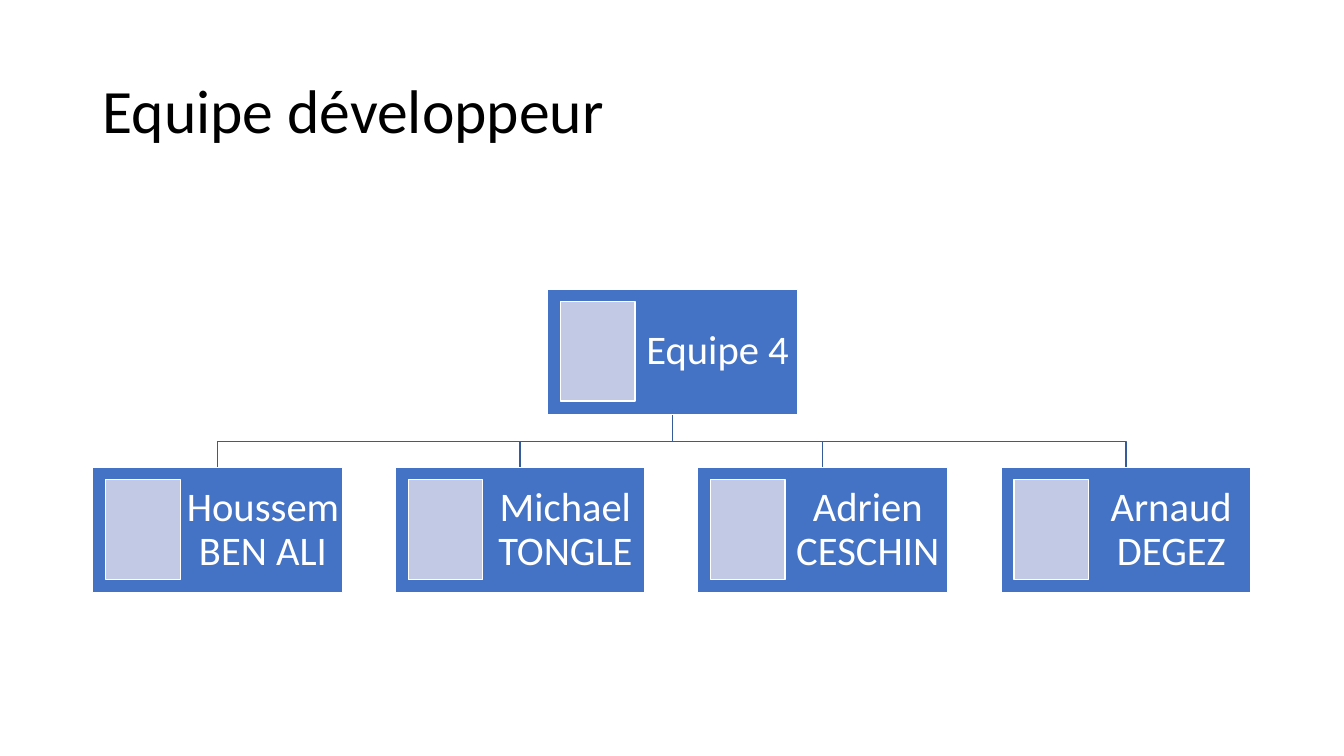
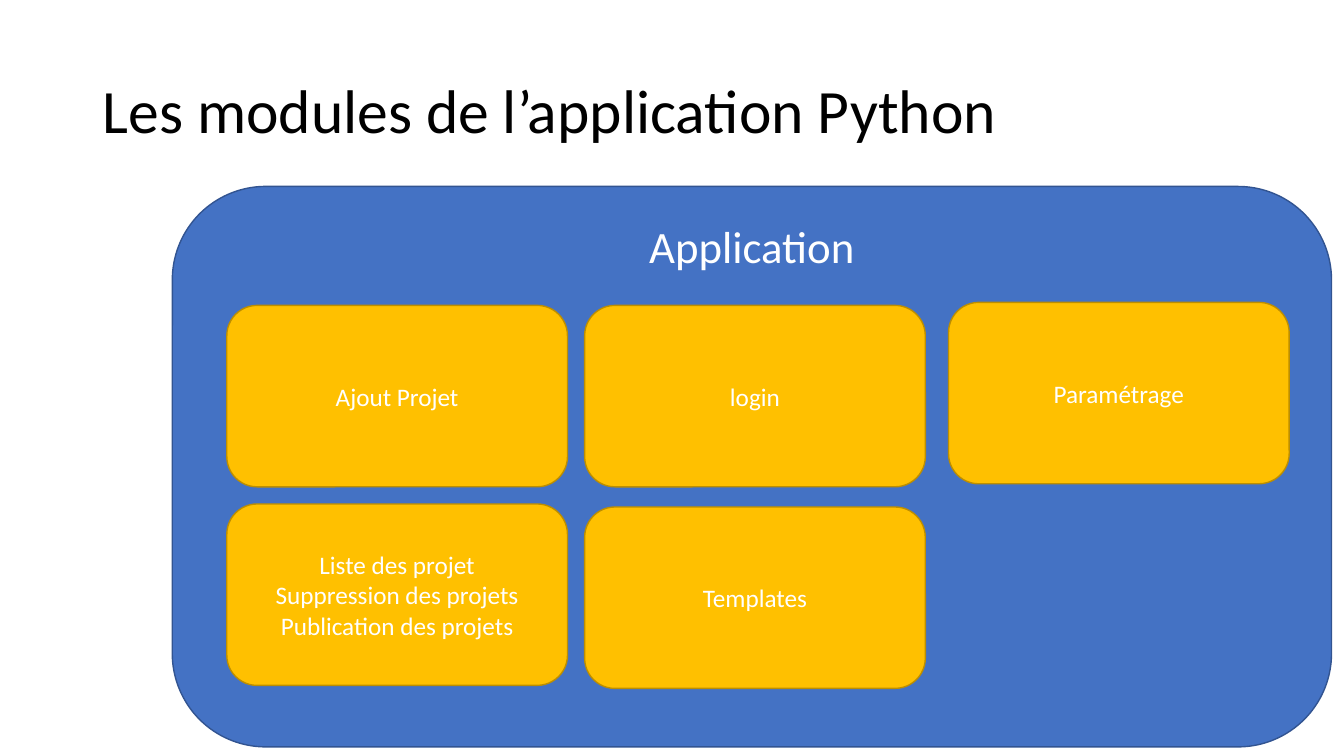
"""Build two slides: the developer team chart and the application modules."""
from pptx import Presentation
from pptx.dml.color import RGBColor
from pptx.enum.shapes import MSO_SHAPE
from pptx.enum.text import MSO_ANCHOR, PP_ALIGN
from pptx.util import Pt

PX = 9144
FONT = "Calibri"
BLUE, PALE, GOLD, WHITE, BLACK = "4472C4", "C1C9E4", "FFC000", "FFFFFF", "000000"
WIRE, NAVY, BROWN = "365B9D", "325491", "BD8E00"
RECT, ROUND = MSO_SHAPE.RECTANGLE, MSO_SHAPE.ROUNDED_RECTANGLE
TOP, MID = MSO_ANCHOR.TOP, MSO_ANCHOR.MIDDLE
LEFT, MIDDLE = PP_ALIGN.LEFT, PP_ALIGN.CENTER


def write(shape, text, size, color=WHITE, align=MIDDLE, anchor=MID, space=1.0):
    """Fill a shape with text: one paragraph per list item, one run per line."""
    frame = shape.text_frame
    frame.word_wrap = True
    frame.vertical_anchor = anchor
    for i, item in enumerate(text):
        para = frame.add_paragraph() if i else frame.paragraphs[0]
        para.alignment = align
        para.line_spacing = space
        for j, part in enumerate(item.split("\n")):
            if j:
                para.add_line_break()
            run = para.add_run()
            run.text = part
            run.font.name = FONT
            run.font.size = Pt(size)
            run.font.color.rgb = RGBColor.from_string(color)


def box(slide, kind, x, y, w, h, fill, edge):
    """Add a filled shape with a one-point outline and no shadow."""
    shape = slide.shapes.add_shape(kind, x * PX, y * PX, w * PX, h * PX)
    shape.shadow.inherit = False
    shape.fill.solid()
    shape.fill.fore_color.rgb = RGBColor.from_string(fill)
    shape.line.color.rgb = RGBColor.from_string(edge)
    shape.line.width = Pt(1)
    return shape


deck = Presentation()
deck.slide_width, deck.slide_height = 12192000, 6858000

slides = []
for title in ("Equipe développeur", "Les modules de l’application Python"):
    slide = deck.slides.add_slide(deck.slide_layouts[6])
    head = slide.shapes.add_textbox(92 * PX, 40 * PX, 1150 * PX, 145 * PX)
    write(head, [title], 44, BLACK, LEFT, space=0.9)
    slides.append(slide)
team, parts = slides

WIDE, HIGH = 248, 124
BOSS, ROW, BUS = 287, 464, 438
names = ["Houssem BEN ALI", "Michael TONGLE", "Adrien CESCHIN", "Arnaud DEGEZ"]
staff = [(name, 92 + 901 * i // 3, ROW) for i, name in enumerate(names)]
cards = [("Equipe 4", 543, BOSS)] + staff

hub = 543 + WIDE // 2
for name, x, y in reversed(staff):
    mid = x + WIDE // 2
    pen = team.shapes.build_freeform(hub, BOSS + HIGH + 1, scale=PX)
    pen.add_line_segments([(hub, BUS), (mid, BUS), (mid, ROW)], close=False)
    wire = pen.convert_to_shape()
    wire.shadow.inherit = False
    wire.fill.background()
    wire.line.color.rgb = RGBColor.from_string(WIRE)
    wire.line.width = Pt(1)

for name, x, y in cards:
    card = box(team, RECT, x, y, WIDE, HIGH, BLUE, WHITE)
    frame = card.text_frame
    frame.margin_left = 92 * PX
    frame.margin_top = frame.margin_right = frame.margin_bottom = 2 * PX
    write(card, [name], 29, space=0.9)
    box(team, RECT, x + 13, y + 12, 74, 99, PALE, WHITE)

panel = box(parts, ROUND, 171, 185, 1150, 556, BLUE, NAVY)
write(panel, ["Application"], 32, anchor=TOP)

tiles = [
    (225, 303, ["Ajout Projet"]),
    (580, 303, ["login"]),
    (225, 500, ["Liste des projet\nSuppression des projets", "Publication des projets"]),
    (580, 503, ["Templates"]),
    (941, 300, ["Paramétrage"]),
]
for x, y, text in tiles:
    write(box(parts, ROUND, x, y, 338, 180, GOLD, BROWN), text, 18)

deck.save("out.pptx")
